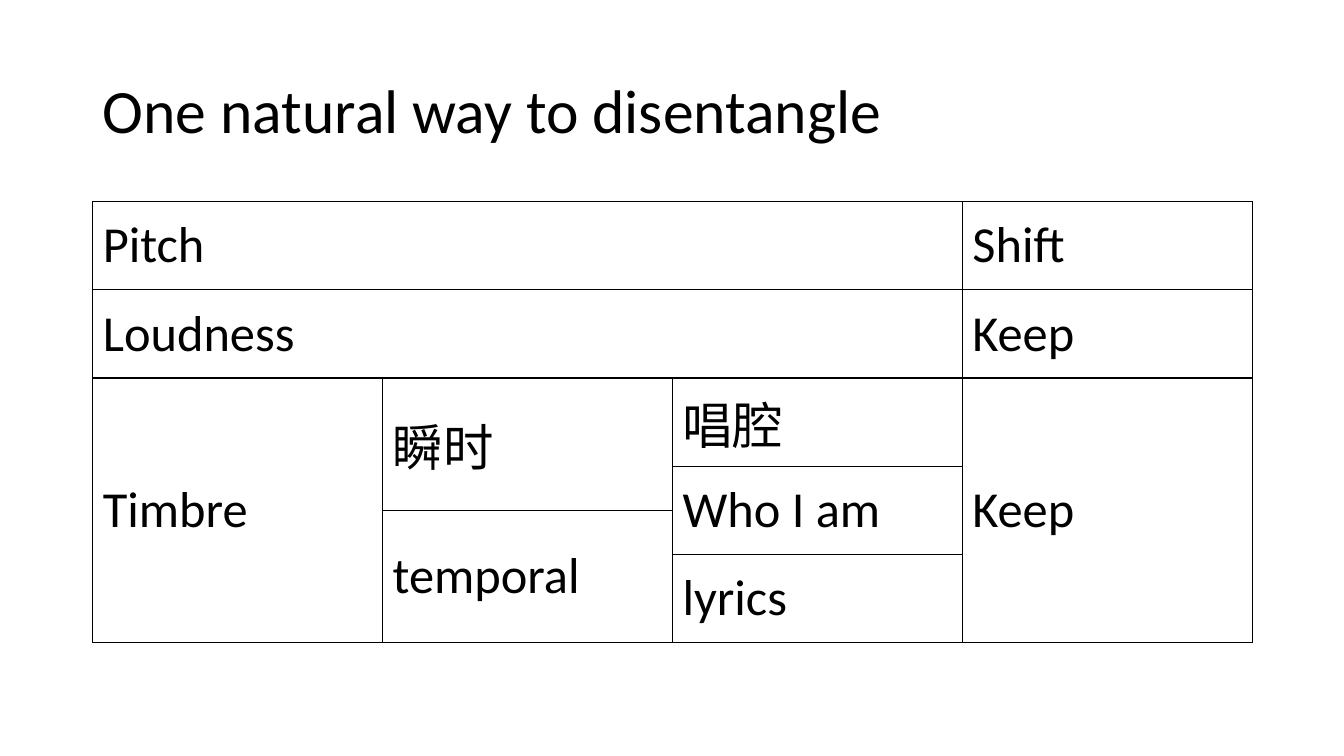
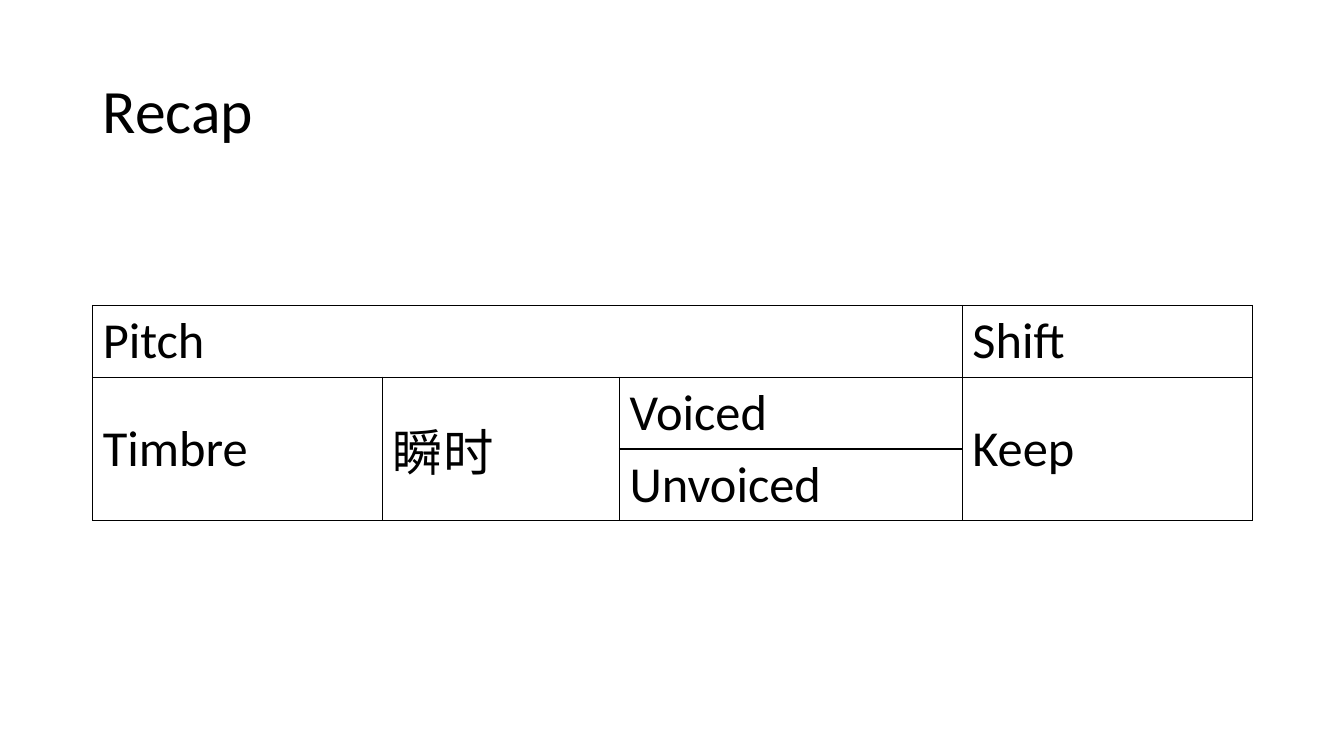
from dataclasses import dataclass

from lxml import etree
from pptx import Presentation
from pptx.dml.color import RGBColor
from pptx.enum.text import MSO_ANCHOR, MSO_AUTO_SIZE, PP_ALIGN
from pptx.oxml.ns import qn
from pptx.slide import Slide
from pptx.table import _Cell
from pptx.text.text import TextFrame
from pptx.util import Inches, Pt

MIDDLE = MSO_ANCHOR.MIDDLE
LEFT = PP_ALIGN.LEFT
NO_AUTOFIT = MSO_AUTO_SIZE.NONE

SLIDE_WIDTH, SLIDE_HEIGHT = 13.33, 7.5
CONTENT_LEFT, CONTENT_WIDTH = 0.92, 11.5
TITLE_TOP, TITLE_HEIGHT = 0.4, 1.45
TITLE_ONLY = 5
QUARTER = CONTENT_WIDTH / 4
ROW = 0.875
COMPACT_ROW = 0.71

FONT = "Calibri"
BLACK = "000000"
TITLE_SIZE, TABLE_SIZE = 44, 36
BORDER_SIDES = ("lnL", "lnR", "lnT", "lnB")


@dataclass(frozen=True)
class Entry:
    text: str
    row: int
    column: int
    rows: int = 1
    columns: int = 1


@dataclass(frozen=True)
class TablePage:
    title: str
    top: float
    column_widths: tuple[float, ...]
    row_heights: tuple[float, ...]
    entries: tuple[Entry, ...]


PAGES = (
    TablePage(
        "One natural way to disentangle",
        2.0,
        (QUARTER,) * 4,
        (ROW, ROW, ROW, ROW / 2, ROW / 2, ROW),
        (
            Entry("Pitch", 0, 0, columns=3),
            Entry("Shift", 0, 3),
            Entry("Loudness", 1, 0, columns=3),
            Entry("Keep", 1, 3),
            Entry("Timbre", 2, 0, rows=4),
            Entry("瞬时", 2, 1, rows=2),
            Entry("temporal", 4, 1, rows=2),
            Entry("唱腔", 2, 2),
            Entry("Who I am", 3, 2, rows=2),
            Entry("lyrics", 5, 2),
            Entry("Keep", 2, 3, rows=4),
        ),
    ),
    TablePage(
        "Recap",
        3.03,
        (QUARTER, 2.35, 2 * QUARTER - 2.35, QUARTER),
        (COMPACT_ROW,) * 3,
        (
            Entry("Pitch", 0, 0, columns=3),
            Entry("Shift", 0, 3),
            Entry("Timbre", 1, 0, rows=2),
            Entry("瞬时", 1, 1, rows=2),
            Entry("Voiced", 1, 2),
            Entry("Unvoiced", 2, 2),
            Entry("Keep", 1, 3, rows=2),
        ),
    ),
)


def color(value: str) -> RGBColor:
    return RGBColor.from_string(value)


def write(frame: TextFrame, text: str, size: float) -> None:
    frame.text = text
    para = frame.paragraphs[0]
    para.alignment = LEFT
    para.font.name = FONT
    para.font.size = Pt(size)
    para.font.color.rgb = color(BLACK)


def style_cell(cell: _Cell) -> None:
    properties = cell._tc.get_or_add_tcPr()
    for position, side in enumerate(BORDER_SIDES):
        line = etree.Element(qn(f"a:{side}"), w=str(Pt(1)))
        fill = etree.SubElement(line, qn("a:solidFill"))
        etree.SubElement(fill, qn("a:srgbClr"), val=BLACK)
        properties.insert(position, line)
    cell.fill.background()
    cell.vertical_anchor = MIDDLE


def add_title(page: Slide, text: str) -> None:
    title = page.shapes.title
    title.left, title.top = Inches(CONTENT_LEFT), Inches(TITLE_TOP)
    title.width, title.height = Inches(CONTENT_WIDTH), Inches(TITLE_HEIGHT)
    frame = title.text_frame
    frame.word_wrap = True
    frame.auto_size = NO_AUTOFIT
    frame.vertical_anchor = MIDDLE
    write(frame, text, TITLE_SIZE)
    frame.paragraphs[0].line_spacing = 0.9


def add_grid(page: Slide, content: TablePage) -> None:
    table = page.shapes.add_table(
        len(content.row_heights),
        len(content.column_widths),
        Inches(CONTENT_LEFT),
        Inches(content.top),
        Inches(CONTENT_WIDTH),
        Inches(sum(content.row_heights)),
    ).table
    table.first_row = False
    table.horz_banding = False
    for column, width in zip(table.columns, content.column_widths):
        column.width = Inches(width)
    for row, height in zip(table.rows, content.row_heights):
        row.height = Inches(height)
    for cell in table.iter_cells():
        style_cell(cell)
    for entry in content.entries:
        cell = table.cell(entry.row, entry.column)
        if entry.rows * entry.columns > 1:
            last_row = entry.row + entry.rows - 1
            last_column = entry.column + entry.columns - 1
            cell.merge(table.cell(last_row, last_column))
        write(cell.text_frame, entry.text, TABLE_SIZE)


def main() -> None:
    deck = Presentation()
    deck.slide_width = Inches(SLIDE_WIDTH)
    deck.slide_height = Inches(SLIDE_HEIGHT)
    for content in PAGES:
        page = deck.slides.add_slide(deck.slide_layouts[TITLE_ONLY])
        add_title(page, content.title)
        add_grid(page, content)
    deck.save("out.pptx")


if __name__ == "__main__":
    main()
